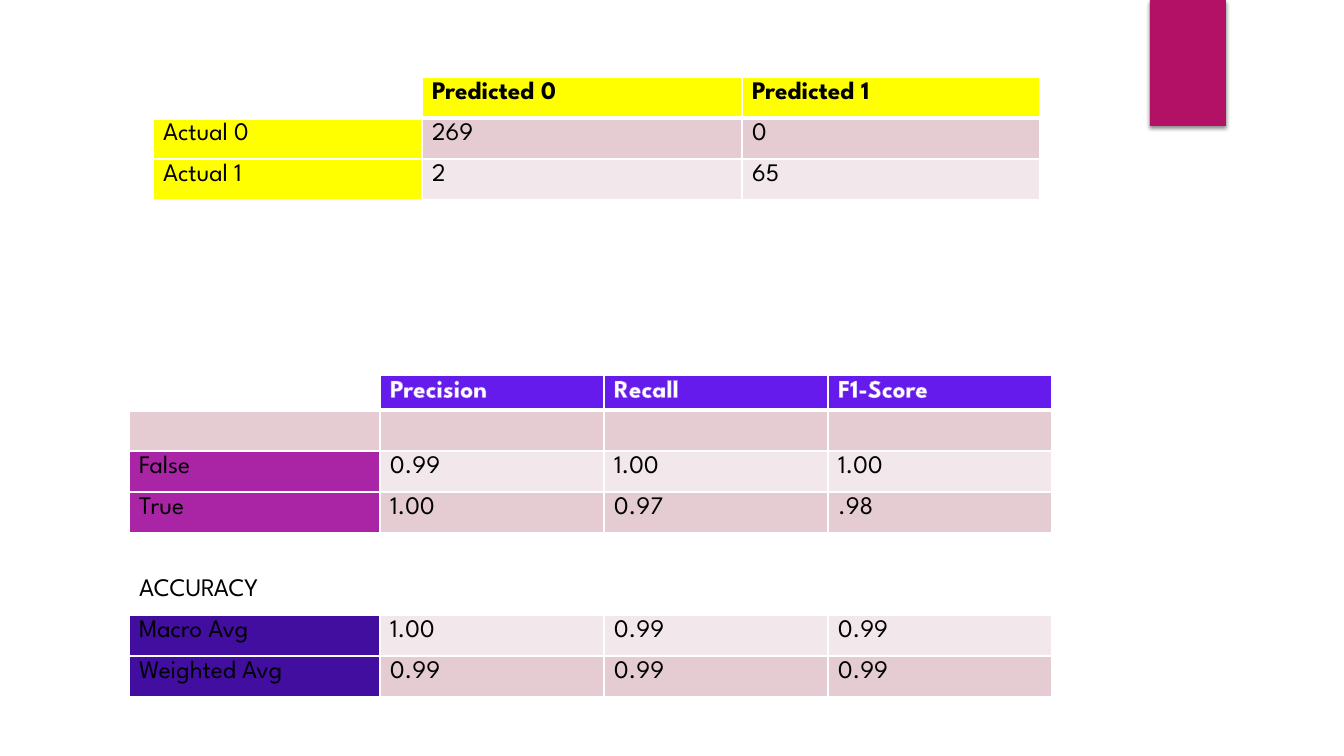
import pptx
import pptx.dml.color
import pptx.enum.shapes
import pptx.oxml
import pptx.oxml.ns
import pptx.util
from lxml import etree

RGBColor = pptx.dml.color.RGBColor
WHITE = RGBColor(0xFF, 0xFF, 0xFF)
BLACK = RGBColor(0x00, 0x00, 0x00)
YELLOW = RGBColor(0xFF, 0xFF, 0x00)
BLUE = RGBColor(0x65, 0x1B, 0xEB)
BLUE_OUTLINE = RGBColor(0x9B, 0x6B, 0xF2)
PURPLE = RGBColor(0xA9, 0x25, 0xA5)
INDIGO = RGBColor(0x42, 0x0E, 0xA0)
MAGENTA = RGBColor(0xB3, 0x11, 0x66)
DARK_BAND = RGBColor(0xE5, 0xCC, 0xD3)
LIGHT_BAND = RGBColor(0xF2, 0xE7, 0xEA)

FONT = "League Spartan"
FONT_SIZE = 18
SLIDE_SIZE = (1344, 756)
RIBBON = (1150, 0, 76, 126)

CONFUSION_MATRIX = {
    "position": (153, 77),
    "columns": (269, 320, 298),
    "header_height": 41,
    "header_color": BLACK,
    "header_outline": None,
    "rows": [
        (("", "Predicted 0", "Predicted 1"), WHITE, YELLOW),
        (("Actual 0", "269", "0"), YELLOW, DARK_BAND),
        (("Actual 1", "2", "65"), YELLOW, LIGHT_BAND),
    ],
}
CLASSIFICATION_REPORT = {
    "position": (129, 375),
    "columns": (251, 224, 224, 224),
    "header_height": 35,
    "header_color": WHITE,
    "header_outline": BLUE_OUTLINE,
    "rows": [
        (("", "Precision", "Recall", "F1-Score"), WHITE, BLUE),
        (("", "", "", ""), DARK_BAND, DARK_BAND),
        (("False", "0.99", "1.00", "1.00"), PURPLE, LIGHT_BAND),
        (("True", "1.00", "0.97", ".98"), PURPLE, DARK_BAND),
        (("", "", "", ""), WHITE, WHITE),
        (("ACCURACY", "", "", ""), WHITE, WHITE),
        (("Macro Avg", "1.00", "0.99", "0.99"), INDIGO, LIGHT_BAND),
        (("Weighted Avg", "0.99", "0.99", "0.99"), INDIGO, DARK_BAND),
    ],
}
ROW_HEIGHT = 41
SCALE = 914400 / 100.8


def px(length):
    return pptx.util.Emu(round(length * SCALE))


def add_element(parent, tag, **attributes):
    return etree.SubElement(parent, pptx.oxml.ns.qn(tag), **attributes)


def add_line(parent, tag, points, color):
    line = add_element(parent, tag, w=str(pptx.util.Pt(points)))
    fill = add_element(line, "a:solidFill")
    add_element(fill, "a:srgbClr", val=str(color))
    return line


def add_ribbon(slide):
    ribbon = slide.shapes.add_shape(
        pptx.enum.shapes.MSO_SHAPE.RECTANGLE, *map(px, RIBBON))
    ribbon.fill.solid()
    ribbon.fill.fore_color.rgb = MAGENTA
    ribbon.line.fill.background()
    ribbon.shadow.inherit = False
    effects = ribbon._element.spPr.find(pptx.oxml.ns.qn("a:effectLst"))
    shadow = add_element(
        effects, "a:outerShdw", blurRad=str(pptx.util.Pt(3)),
        dist=str(pptx.util.Pt(2)), dir="5400000", algn="ctr", rotWithShape="0")
    color = add_element(shadow, "a:srgbClr", val=str(BLACK))
    add_element(color, "a:alpha", val="45000")


def format_cell(cell, text, fill, row_index, content):
    is_header = row_index == 0
    properties = cell._tc.get_or_add_tcPr()
    borders = {
        "a:lnL": 1,
        "a:lnR": 1,
        "a:lnT": 3 if row_index == 1 else 1,
        "a:lnB": 3 if is_header else 1,
    }
    for tag, points in borders.items():
        add_line(properties, tag, points, WHITE)
    cell.fill.solid()
    cell.fill.fore_color.rgb = fill

    paragraph = cell.text_frame.paragraphs[0]
    if not text:
        end = add_element(paragraph._p, "a:endParaRPr", sz=str(FONT_SIZE * 100))
        add_element(end, "a:latin", typeface=FONT)
        return
    paragraph.text = text
    run = paragraph.runs[0]
    if is_header and content["header_outline"]:
        add_line(run._r.get_or_add_rPr(), "a:ln", 0.8, content["header_outline"])
    run.font.name = FONT
    run.font.size = pptx.util.Pt(FONT_SIZE)
    run.font.bold = is_header
    run.font.color.rgb = content["header_color"] if is_header else BLACK


def add_score_table(slide, content):
    rows, columns = content["rows"], content["columns"]
    heights = [content["header_height"]] + [ROW_HEIGHT] * (len(rows) - 1)
    size = (sum(columns), sum(heights))
    table = slide.shapes.add_table(
        len(rows), len(columns), *map(px, content["position"] + size)).table
    table.first_row = False
    table.horz_banding = False
    for column, width in zip(table.columns, columns):
        column.width = px(width)
    for row_index, (texts, label_fill, value_fill) in enumerate(rows):
        table.rows[row_index].height = px(heights[row_index])
        for column_index, text in enumerate(texts):
            fill = value_fill if column_index else label_fill
            cell = table.cell(row_index, column_index)
            format_cell(cell, text, fill, row_index, content)


def main():
    presentation = pptx.Presentation()
    presentation.slide_width, presentation.slide_height = map(px, SLIDE_SIZE)
    slide = presentation.slides.add_slide(presentation.slide_layouts[6])
    add_ribbon(slide)
    for content in (CONFUSION_MATRIX, CLASSIFICATION_REPORT):
        add_score_table(slide, content)
    presentation.save("out.pptx")


if __name__ == "__main__":
    main()
